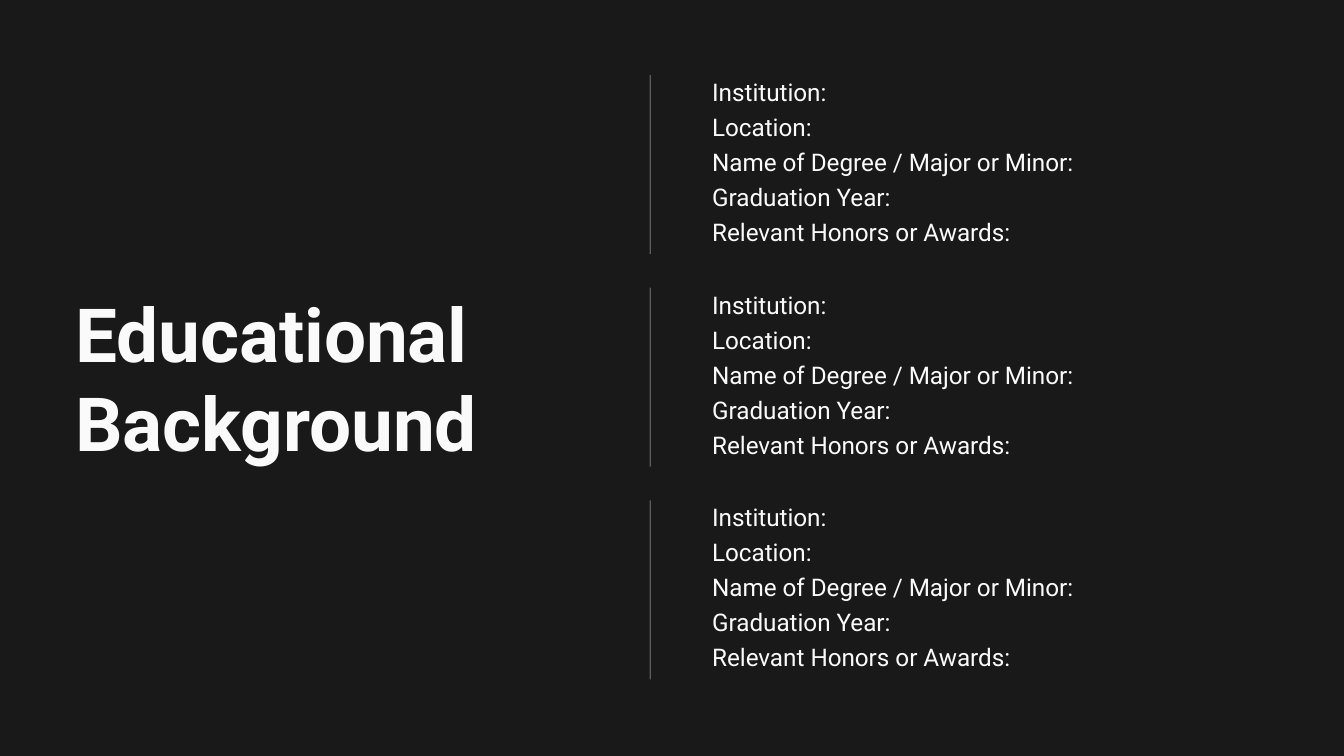
from lxml import etree
from pptx import Presentation
from pptx import util as u
from pptx.dml.color import RGBColor
from pptx.enum import shapes, text
from pptx.oxml.ns import qn

COLOURS = {"background": "191919", "foreground": "FAFAFA"}
TITLE_FORMAT = {"name": "Roboto", "size": u.Pt(40), "bold": True}
DETAIL_FORMAT = {"name": "Roboto", "size": u.Pt(13), "bold": False}

DETAILS = [
    "Institution:",
    "Location:",
    "Name of Degree / Major or Minor:",
    "Graduation Year:",
    "Relevant Honors or Awards:",
]
ENTRY_COUNT = 3
ENTRY_TOP, ENTRY_PITCH = 1.35, 4.02
DIVIDER_OFFSET, DIVIDER_HEIGHT = 0.07, 3.38


class SlideBuilder:
    """Holds the colours and the current slide; lengths are centimetres."""

    def __init__(self, presentation, colours):
        self.colours = {name: RGBColor.from_string(value)
                        for name, value in colours.items()}
        self.slide = presentation.slides.add_slide(presentation.slide_layouts[6])
        fill = self.slide.background.fill
        fill.solid()
        fill.fore_color.rgb = self.colours["background"]

    def add_text(self, lines, left, top, width, height, font_format, spacing=None):
        box = self.slide.shapes.add_textbox(
            u.Cm(left), u.Cm(top), u.Cm(width), u.Cm(height))
        frame_format = {
            "margin_left": 0, "margin_right": 0, "margin_top": 0, "margin_bottom": 0,
            "word_wrap": True, "vertical_anchor": text.MSO_ANCHOR.TOP,
            "auto_size": text.MSO_AUTO_SIZE.SHAPE_TO_FIT_TEXT,
        }
        frame = box.text_frame
        for attribute, value in frame_format.items():
            setattr(frame, attribute, value)
        frame.text = "\n".join(lines)
        for paragraph in frame.paragraphs:
            paragraph.line_spacing = spacing
            for run in paragraph.runs:
                for attribute, value in font_format.items():
                    setattr(run.font, attribute, value)
                run.font.color.rgb = self.colours["foreground"]

    def add_divider(self, left, top, height, opacity):
        """Draw a vertical line from bottom to top; opacity is a percentage."""
        divider = self.slide.shapes.add_connector(
            shapes.MSO_CONNECTOR.STRAIGHT,
            u.Cm(left), u.Cm(top + height), u.Cm(left), u.Cm(top))
        divider.line.width = u.Pt(0.75)
        divider.line.color.rgb = self.colours["foreground"]
        properties = divider._element.spPr
        colour = properties.find(".//" + qn("a:srgbClr"))
        etree.SubElement(colour, qn("a:alpha"), val=str(opacity * 1000))
        etree.SubElement(properties, qn("a:effectLst"))


def main():
    presentation = Presentation()
    presentation.slide_width = u.Cm(25.4)
    presentation.slide_height = u.Cm(14.29)
    builder = SlideBuilder(presentation, COLOURS)

    for entry in range(ENTRY_COUNT):
        top = ENTRY_TOP + entry * ENTRY_PITCH
        builder.add_text(DETAILS, 13.46, top, 10.49, 3.23, DETAIL_FORMAT, spacing=1.2)
        builder.add_divider(12.29, top + DIVIDER_OFFSET, DIVIDER_HEIGHT, opacity=30)

    builder.add_text(["Educational Background"], 1.42, 5.44, 8.79, 3.43, TITLE_FORMAT)
    presentation.save("out.pptx")


if __name__ == "__main__":
    main()
